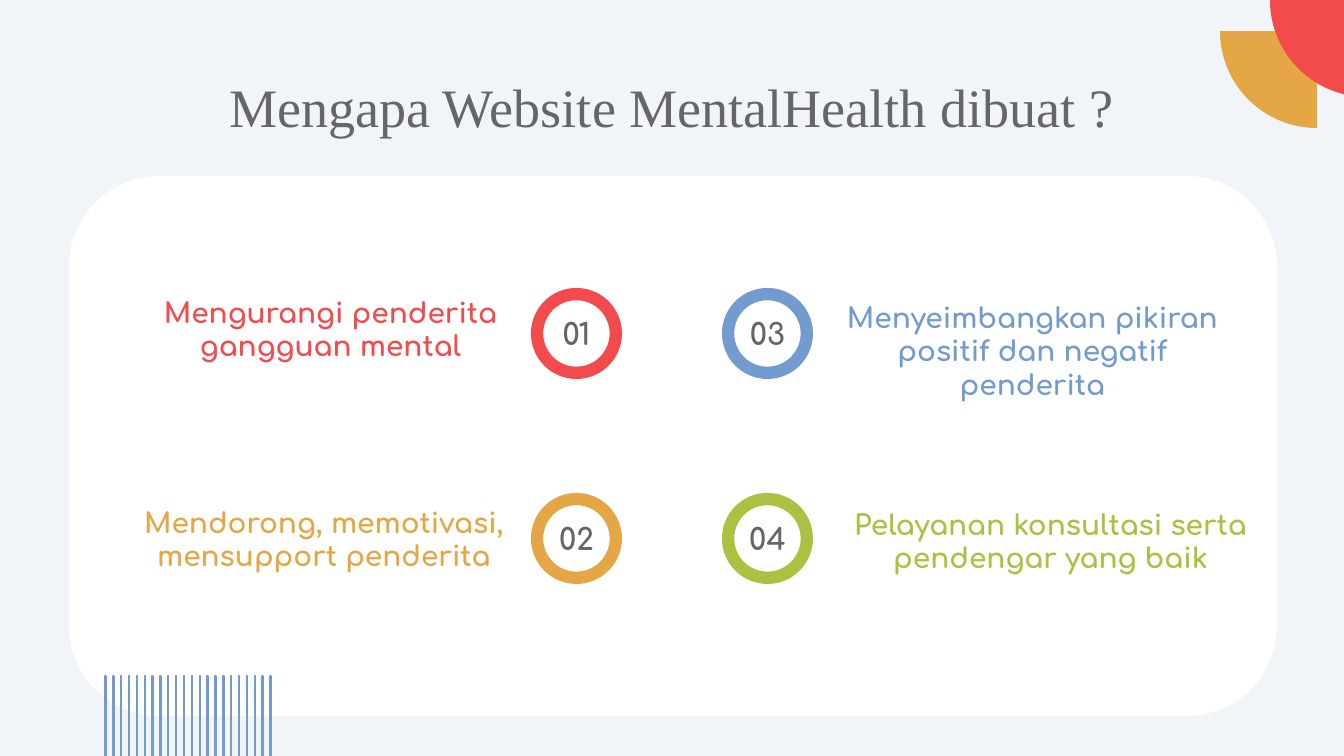
import math
from dataclasses import dataclass
from typing import Any

from pptx import Presentation
from pptx.dml.color import RGBColor
from pptx.enum.shapes import MSO_SHAPE
from pptx.enum.text import MSO_ANCHOR, MSO_AUTO_SIZE, PP_ALIGN
from pptx.util import Pt

RECTANGLE = MSO_SHAPE.RECTANGLE
ROUNDED = MSO_SHAPE.ROUNDED_RECTANGLE
DONUT = MSO_SHAPE.DONUT
TOP = MSO_ANCHOR.TOP
MIDDLE = MSO_ANCHOR.MIDDLE
CENTER = PP_ALIGN.CENTER
NO_AUTOFIT = MSO_AUTO_SIZE.NONE

SCALE = 914400 / 134.4
RED, ORANGE, BLUE, GREEN = "F34B4B", "E5A645", "739BCF", "ACC141"

REASONS = [
    ("01", "Mengurangi penderita gangguan mental", RED, (531, 288), (141, 282, 379, 91)),
    ("02", "Mendorong, memotivasi, mensupport penderita", ORANGE, (531, 493), (117, 492, 414, 91)),
    ("03", "Menyeimbangkan pikiran positif dan negatif penderita", BLUE, (722, 288), (831, 287, 403, 122)),
    ("04", "Pelayanan konsultasi serta pendengar yang baik", GREEN, (722, 493), (831, 494, 439, 91)),
]


def emu(px):
    return round(px * SCALE)


def rgb(value):
    return RGBColor.from_string(value)


def write(box, text, *, font, size, color, bold=False, anchor=TOP):
    frame = box.text_frame
    frame.word_wrap = True
    frame.auto_size = NO_AUTOFIT
    frame.vertical_anchor = anchor
    frame.margin_left = frame.margin_right = Pt(7.2)
    frame.margin_top = frame.margin_bottom = Pt(7.2)
    para = frame.paragraphs[0]
    para.alignment = CENTER
    span = para.add_run()
    span.text = text
    span.font.name = font
    span.font.size = Pt(size)
    span.font.bold = bold
    span.font.color.rgb = rgb(color)


@dataclass
class Painter:
    page: Any
    heading_font: str = "Times New Roman"
    body_font: str = "Comfortaa"
    ink: str = "666666"

    def background(self, color):
        fill = self.page.background.fill
        fill.solid()
        fill.fore_color.rgb = rgb(color)

    def title(self, text, left, top, width, height):
        box = self.page.shapes.title
        box.left, box.top = emu(left), emu(top)
        box.width, box.height = emu(width), emu(height)
        write(box, text, font=self.heading_font, size=29, color=self.ink)

    def paint(self, shape, color, outline=None):
        shape.shadow.inherit = False
        shape.fill.solid()
        shape.fill.fore_color.rgb = rgb(color)
        if outline:
            shape.line.color.rgb = rgb(color)
            shape.line.width = Pt(outline)
        else:
            shape.line.fill.background()

    def shape(self, kind, left, top, width, height, color, adjust=None, outline=None):
        shape = self.page.shapes.add_shape(kind, emu(left), emu(top), emu(width), emu(height))
        self.paint(shape, color, outline)
        if adjust is not None:
            shape.adjustments[0] = adjust

    def quarter(self, center_x, center_y, radius, color, steps=48):
        angles = [math.pi / 2 * (1 + step / steps) for step in range(steps + 1)]
        arc = [
            (emu(center_x + radius * math.cos(angle)), emu(center_y + radius * math.sin(angle)))
            for angle in angles
        ]
        builder = self.page.shapes.build_freeform(emu(center_x), emu(center_y))
        builder.add_line_segments(arc, close=True)
        self.paint(builder.convert_to_shape(), color)

    def text(self, text, left, top, width, height, size, color, anchor=TOP):
        box = self.page.shapes.add_textbox(emu(left), emu(top), emu(width), emu(height))
        write(box, text, font=self.body_font, size=size, color=color, bold=True, anchor=anchor)

    def stripes(self, left, top, span, height, count, color):
        for index in range(count):
            x = left + span * index / (count - 1)
            self.shape(RECTANGLE, x, top, 1, height, color, outline=0.75)

    def reason(self, number, text, color, ring, area):
        left, top = ring
        self.shape(DONUT, left, top, 91, 91, color, adjust=0.135)
        self.text(number, left, top + 23, 91, 46, 16, self.ink, MIDDLE)
        self.text(text, *area, 15, color)


def main():
    deck = Presentation()
    deck.slide_width, deck.slide_height = emu(1344), emu(756)
    painter = Painter(deck.slides.add_slide(deck.slide_layouts[5]))
    painter.background("F1F5FA")
    painter.title("Mengapa Website MentalHealth dibuat ?", 105, 60, 1134, 85)
    painter.shape(ROUNDED, 69, 176, 1208, 540, "FFFFFF", adjust=0.167)
    for reason in REASONS:
        painter.reason(*reason)
    painter.stripes(105, 676, 165, 84, 22, BLUE)
    painter.quarter(1317, 31, 97, ORANGE)
    painter.quarter(1367, 0, 97, RED)
    deck.save("out.pptx")


if __name__ == "__main__":
    main()
